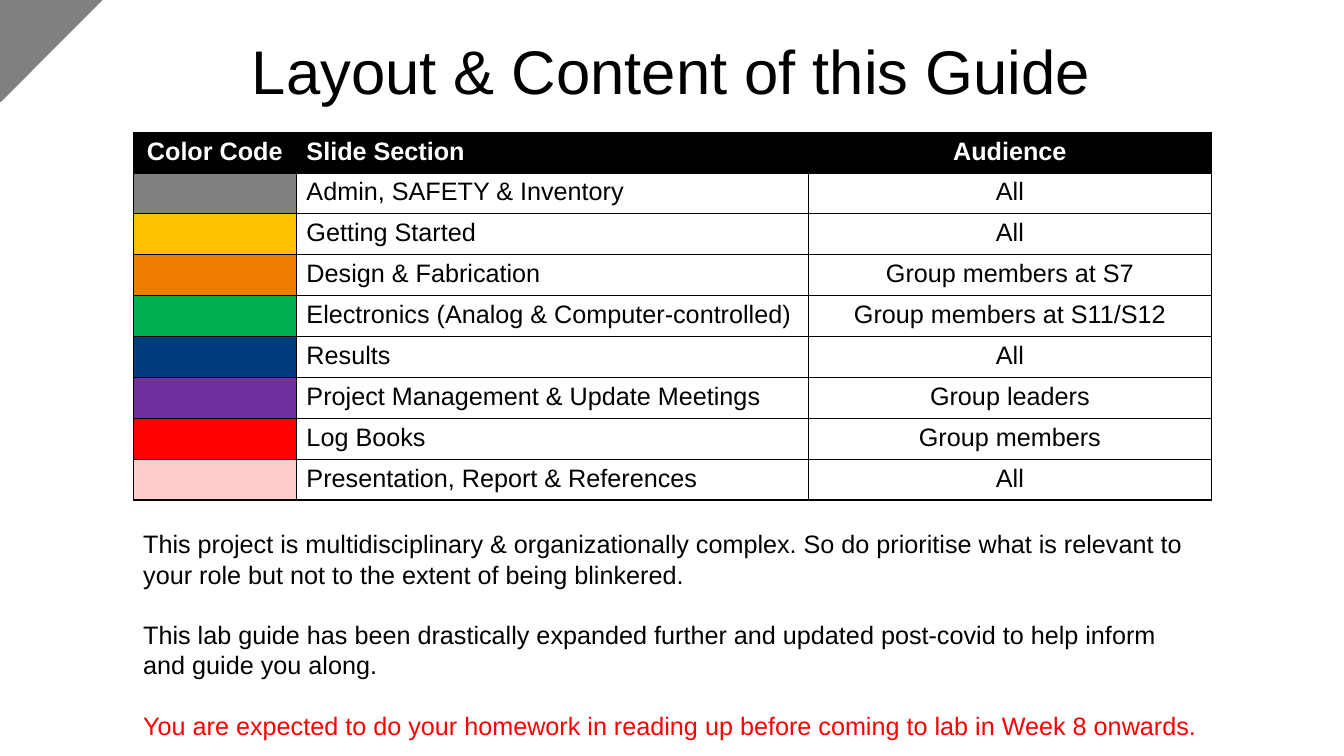
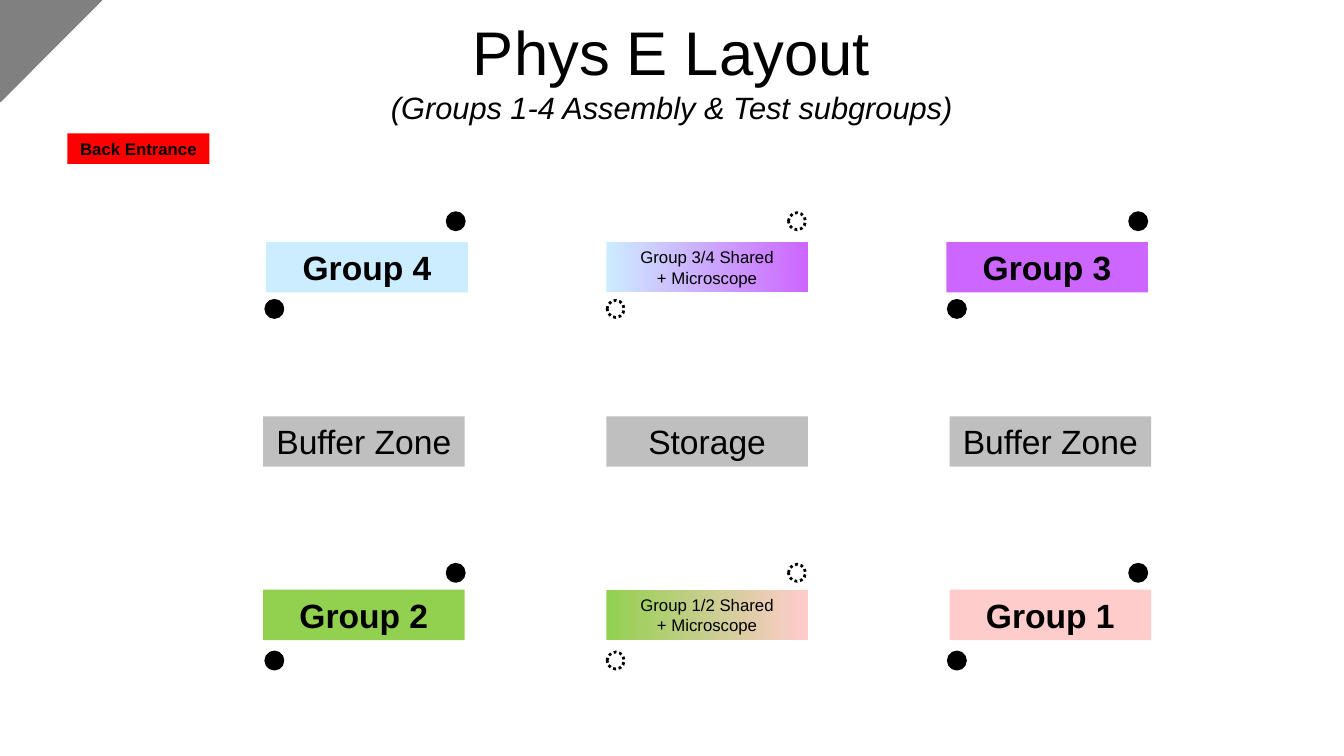
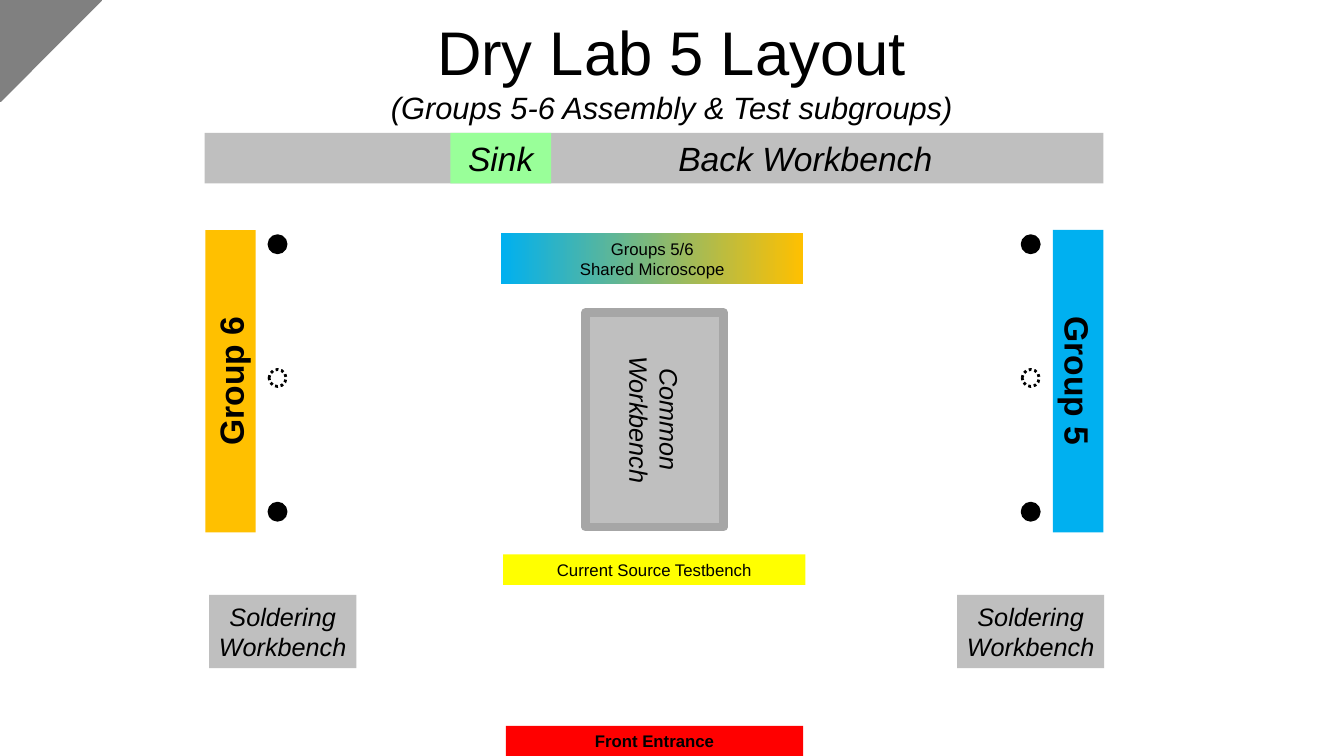
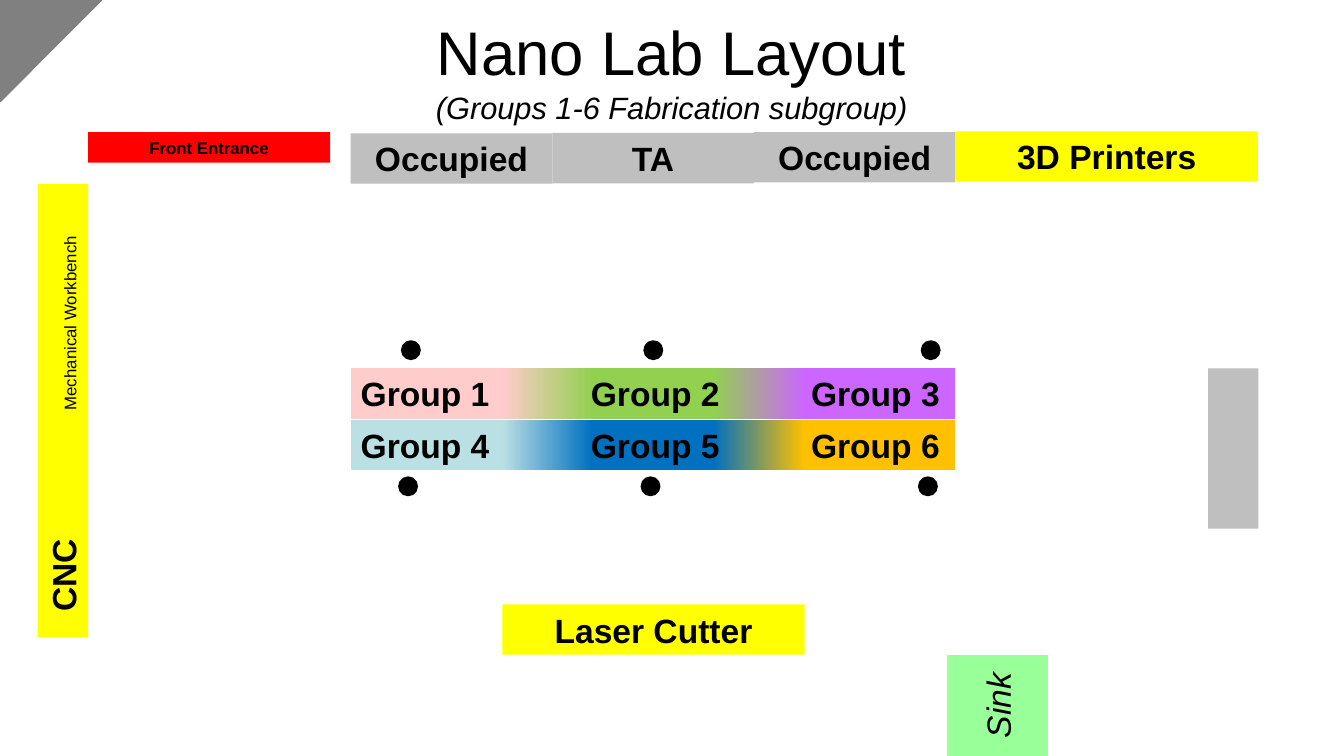
"""Build four lab guide slides: a section table and three room layouts."""
from lxml import etree
from pptx import Presentation
from pptx.dml.color import RGBColor
from pptx.enum.dml import MSO_LINE
from pptx.enum.shapes import MSO_SHAPE
from pptx.enum.text import MSO_ANCHOR, PP_ALIGN
from pptx.oxml.ns import qn
from pptx.util import Cm, Pt

FONT = "Arial"
BLACK, WHITE, GREY, CORNER = "000000", "FFFFFF", "BFBFBF", "808080"
RED, YELLOW, AMBER, LIME = "FF0000", "FFFF00", "FFC000", "92D050"
PINK, VIOLET, ICE, SKY, MINT = "FFCCCC", "CC66FF", "CCECFF", "00B0F0", "99FF99"

STYLES = {
    "title": {"size": Pt(44)},
    "subtitle": {"size": Pt(22), "italic": True},
    "group": {"size": Pt(24), "bold": True},
    "zone": {"size": Pt(24)},
    "fixture": {"size": Pt(24), "italic": True},
    "bench": {"size": Pt(18), "italic": True},
    "label": {"size": Pt(12)},
    "entrance": {"size": Pt(12), "bold": True},
    "body": {"size": Pt(18)},
    "head": {"size": Pt(18), "bold": True},
}

HEADER = ("Color Code", "Slide Section", "Audience")
SECTIONS = [
    (CORNER, "Admin, SAFETY & Inventory", "All"),
    (AMBER, "Getting Started", "All"),
    ("EF7C00", "Design & Fabrication", "Group members at S7"),
    ("00B050", "Electronics (Analog & Computer-controlled)", "Group members at S11/S12"),
    ("003D7C", "Results", "All"),
    ("7030A0", "Project Management & Update Meetings", "Group leaders"),
    (RED, "Log Books", "Group members"),
    (PINK, "Presentation, Report & References", "All"),
]
COL_WIDTHS = (4.11, 12.9, 10.16)
ROW_HEIGHT = 1.03
NOTES = [
    ("This project is multidisciplinary & organizationally complex. So do prioritise what is "
     "relevant to your role but not to the extent of being blinkered.", BLACK),
    ("This lab guide has been drastically expanded further and updated post-covid to help "
     "inform and guide you along.", BLACK),
    ("You are expected to do your homework in reading up before coming to lab in Week 8 onwards.",
     RED),
]

PHYS_ROWS = [
    (6.71, 8.57, 6.1, [
        ("Group 4", "group", ICE),
        ("Group 3/4 Shared\n+ Microscope", "label", [(0, ICE), (100, VIOLET)]),
        ("Group 3", "group", VIOLET)]),
    (6.63, 8.65, 10.49, [
        ("Buffer Zone", "zone", GREY), ("Storage", "zone", GREY), ("Buffer Zone", "zone", GREY)]),
    (6.63, 8.65, 14.86, [
        ("Group 2", "group", LIME),
        ("Group 1/2 Shared\n+ Microscope", "label", [(0, LIME), (100, PINK)]),
        ("Group 1", "group", PINK)]),
]
PHYS_BLOCKS = [("Back Entrance", "entrance", RED, 1.7, 3.36, 3.58, 0.77, {})] + [
    (*item, left + i * step, top, 5.08, 1.27, {})
    for left, step, top, items in PHYS_ROWS for i, item in enumerate(items)]
PHYS_DOTS = [(left + i * 8.6, top + dy, i == 1)
             for dy in (0, 8.86) for left, top in ((11.27, 5.36), (6.7, 7.57)) for i in range(3)]

DRY_BLOCKS = [
    ("Common\nWorkbench", "bench", GREY, 13.79, 8.84, 5.41, 3.48, {"rot": 90, "border": "A6A6A6"}),
    ("Current Source Testbench", "label", YELLOW, 12.68, 13.97, 7.62, 0.77, {}),
    ("Front Entrance", "entrance", RED, 12.75, 18.29, 7.49, 0.76, {}),
    ("Back Workbench", "fixture", GREY, 5.16, 3.35, 22.65, 1.27, {"inset": 7.72}),
    ("Sink", "fixture", MINT, 11.35, 3.35, 2.54, 1.27, {}),
    ("Groups 5/6\nShared Microscope", "label", [(0, SKY), (100, AMBER)],
     12.63, 5.88, 7.62, 1.27, {}),
    ("Soldering\nWorkbench", "bench", GREY, 5.27, 14.99, 3.71, 1.85, {}),
    ("Soldering\nWorkbench", "bench", GREY, 24.12, 14.99, 3.71, 1.85, {}),
    ("Group 6", "group", AMBER, 2.0, 8.97, 7.62, 1.27, {"rot": 270}),
    ("Group 5", "group", SKY, 23.36, 8.97, 7.62, 1.27, {"rot": 90}),
]
DRY_DOTS = [(left, 5.94 + i * 3.37, i == 1) for left in (6.78, 25.76) for i in range(3)]

GROUP_ROW = {"align": PP_ALIGN.LEFT, "inset": 0.25, "tabs": (5.8, 11.35)}
CNC_ROW = {"align": PP_ALIGN.LEFT, "inset": 0.64, "tabs": (5.08,), "rot": 270}
NANO_BLOCKS = [
    ("Occupied", "group", GREY, 8.84, 3.36, 5.08, 1.27, {}),
    ("TA", "group", GREY, 13.92, 3.35, 5.08, 1.27, {}),
    ("Occupied", "group", GREY, 19, 3.33, 5.08, 1.27, {}),
    ("3D Printers", "group", YELLOW, 24.08, 3.31, 7.62, 1.27, {}),
    ("", "group", GREY, 29.06, 10.67, 4.04, 1.27, {"rot": 90}),
    ("Front Entrance", "entrance", RED, 2.22, 3.33, 6.1, 0.77, {}),
    ("Sink", "fixture", MINT, 23.87, 16.51, 2.54, 2.54, {"rot": 270}),
    ([[("CNC\t", "group"), ("Mechanical Workbench", "label")]], None, YELLOW,
     -4.13, 9.71, 11.43, 1.27, CNC_ROW),
    ("Laser Cutter", "group", YELLOW, 12.66, 15.23, 7.62, 1.27, {}),
    ("Group 1\tGroup 2\tGroup 3", "group", [(25, PINK), (40, LIME), (60, LIME), (75, VIOLET)],
     8.84, 9.28, 15.24, 1.27, GROUP_ROW),
    ("Group 4\tGroup 5\tGroup 6", "group",
     [(25, "BBE0E3"), (40, "0070C0"), (60, "0070C0"), (75, AMBER)],
     8.84, 10.58, 15.24, 1.27, GROUP_ROW),
]
NANO_DOTS = [(left + dx, top, False) for dx, top in ((0, 8.61), (-0.07, 12.04))
             for left in (10.14, 16.25, 23.24)]

ROOMS = [
    ("Phys E Layout", "(Groups 1-4 Assembly & Test subgroups)", PHYS_BLOCKS, PHYS_DOTS),
    ("Dry Lab 5 Layout", "(Groups 5-6 Assembly & Test subgroups)", DRY_BLOCKS, DRY_DOTS),
    ("Nano Lab Layout", "(Groups 1-6 Fabrication subgroup)", NANO_BLOCKS, NANO_DOTS),
]


def rgb(value):
    """Turn a hex string into a colour."""
    return RGBColor.from_string(value)


def box(left, top, width, height):
    """Turn centimetre numbers into lengths."""
    return [Cm(round(v, 2)) for v in (left, top, width, height)]


def add_run(p, text, style, color=BLACK):
    """Add one formatted run to a paragraph."""
    r = p.add_run()
    r.text = text
    for name, value in {"name": FONT, **STYLES[style]}.items():
        setattr(r.font, name, value)
    r.font.color.rgb = rgb(color)


def write(tf, lines, align=PP_ALIGN.CENTER, tabs=()):
    """Write lines of (text, style) runs, one paragraph each."""
    for i, runs in enumerate(lines):
        p = tf.add_paragraph() if i else tf.paragraphs[0]
        p.alignment = align
        if tabs:
            tab_list = etree.SubElement(p._p.get_or_add_pPr(), qn("a:tabLst"))
            for pos in tabs:
                etree.SubElement(tab_list, qn("a:tab"), pos=str(Cm(pos)), algn="l")
        for run in runs:
            add_run(p, *run)


def paint(sp, fill):
    """Fill a shape with a colour or with gradient stops."""
    sp.shadow.inherit = False
    if isinstance(fill, str):
        sp.fill.solid()
        sp.fill.fore_color.rgb = rgb(fill)
        return
    sp.fill.gradient()
    sp.fill.gradient_angle = 0
    stops = sp._element.spPr.find(qn("a:gradFill")).find(qn("a:gsLst"))
    for old in list(stops):
        stops.remove(old)
    for pos, color in fill:
        stop = etree.SubElement(stops, qn("a:gs"), pos=str(pos * 1000))
        etree.SubElement(stop, qn("a:srgbClr"), val=color)


def outline(sp, color, width):
    """Give a shape a solid outline."""
    sp.line.color.rgb = rgb(color)
    sp.line.width = Pt(width)


def add_block(s, text, style, fill, left, top, width, height, opts):
    """Add a labelled rectangle of the floor plan."""
    sp = s.shapes.add_shape(MSO_SHAPE.RECTANGLE, *box(left, top, width, height))
    paint(sp, fill)
    sp.rotation = opts.get("rot", 0)
    if "border" in opts:
        outline(sp, opts["border"], 6)
    else:
        sp.line.fill.background()
    tf = sp.text_frame
    for name, value in {"word_wrap": True, "vertical_anchor": MSO_ANCHOR.MIDDLE,
                        "margin_left": Cm(opts.get("inset", 0.1)),
                        "margin_right": Cm(0.1)}.items():
        setattr(tf, name, value)
    if text:
        lines = [[(line, style)] for line in text.split("\n")] if style else text
        write(tf, lines, opts.get("align", PP_ALIGN.CENTER), opts.get("tabs", ()))


def add_dot(s, left, top, shared):
    """Add a seat marker, dotted when it is shared."""
    sp = s.shapes.add_shape(MSO_SHAPE.OVAL, *box(left, top, 0.43, 0.43))
    paint(sp, WHITE if shared else BLACK)
    outline(sp, BLACK, 2)
    if shared:
        sp.line.dash_style = MSO_LINE.ROUND_DOT


def add_slide(prs, title, subtitle=None):
    """Add a slide with its title and corner mark."""
    s = prs.slides.add_slide(prs.slide_layouts[6])
    tf = s.shapes.add_textbox(*box(1.69, 0.17, 30.48, 3.18)).text_frame
    tf.word_wrap = True
    tf.vertical_anchor = MSO_ANCHOR.MIDDLE
    lines = [[(title, "title")]] + ([[(subtitle, "subtitle")]] if subtitle else [])
    write(tf, lines)
    sp = s.shapes.add_shape(MSO_SHAPE.RIGHT_TRIANGLE, *box(0, 0, 2.54, 2.54))
    sp.rotation = 90
    paint(sp, CORNER)
    outline(sp, CORNER, 2)
    return s


def fill_cell(cell, text, fill, style, color, align):
    """Fill a table cell and draw its borders."""
    cell.fill.solid()
    cell.fill.fore_color.rgb = rgb(fill)
    write(cell.text_frame, [[(text, style, color)] if text else []], align)
    tc_pr = cell._tc.get_or_add_tcPr()
    for i, side in enumerate(("a:lnL", "a:lnR", "a:lnT", "a:lnB")):
        ln = etree.Element(qn(side), w=str(Pt(1)))
        etree.SubElement(etree.SubElement(ln, qn("a:solidFill")), qn("a:srgbClr"), val=BLACK)
        tc_pr.insert(i, ln)


def add_guide(prs):
    """Build the slide with the section table and notes."""
    s = add_slide(prs, "Layout & Content of this Guide")
    count = len(SECTIONS) + 1
    frame = s.shapes.add_table(count, 3, *box(3.36, 3.33, sum(COL_WIDTHS), ROW_HEIGHT * count))
    table = frame.table
    for col, width in zip(table.columns, COL_WIDTHS):
        col.width = Cm(width)
    for row in table.rows:
        row.height = Cm(ROW_HEIGHT)
    aligns = (PP_ALIGN.CENTER, PP_ALIGN.LEFT, PP_ALIGN.CENTER)
    for c, text in enumerate(HEADER):
        fill_cell(table.cell(0, c), text, BLACK, "head", WHITE, aligns[c])
    for i, (code, *texts) in enumerate(SECTIONS, 1):
        for c, text in enumerate(["", *texts]):
            fill_cell(table.cell(i, c), text, WHITE if c else code, "body", BLACK, aligns[c])
    tf = s.shapes.add_textbox(*box(3.36, 13.2, 27.15, 5.65)).text_frame
    tf.word_wrap = True
    write(tf, [[(text, "body", color)] for text, color in NOTES], PP_ALIGN.LEFT)
    for p in tf.paragraphs[1:]:
        p.space_before = Cm(0.76)


def main():
    """Build and save the presentation."""
    prs = Presentation()
    prs.slide_width, prs.slide_height = Cm(33.87), Cm(19.05)
    add_guide(prs)
    for title, subtitle, blocks, dots in ROOMS:
        s = add_slide(prs, title, subtitle)
        for block in blocks:
            add_block(s, *block)
        for dot in dots:
            add_dot(s, *dot)
    prs.save("out.pptx")


if __name__ == "__main__":
    main()
